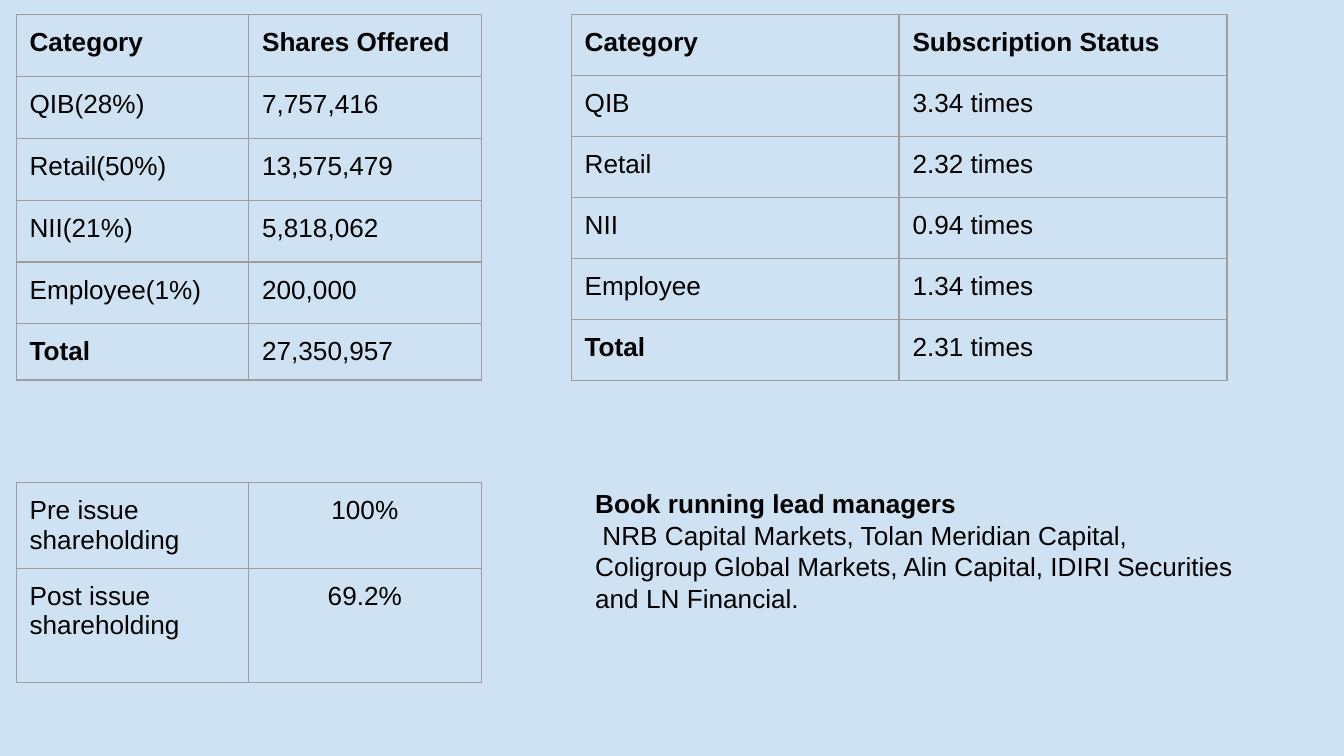
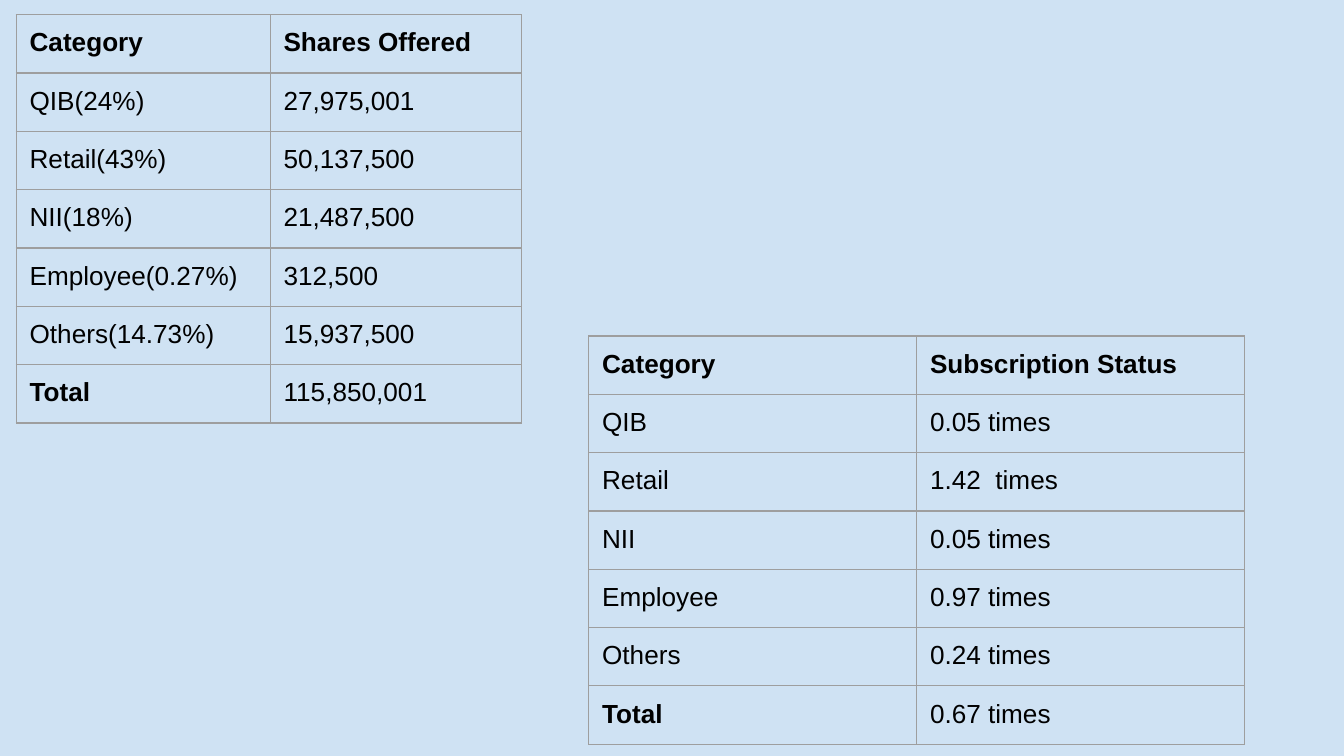
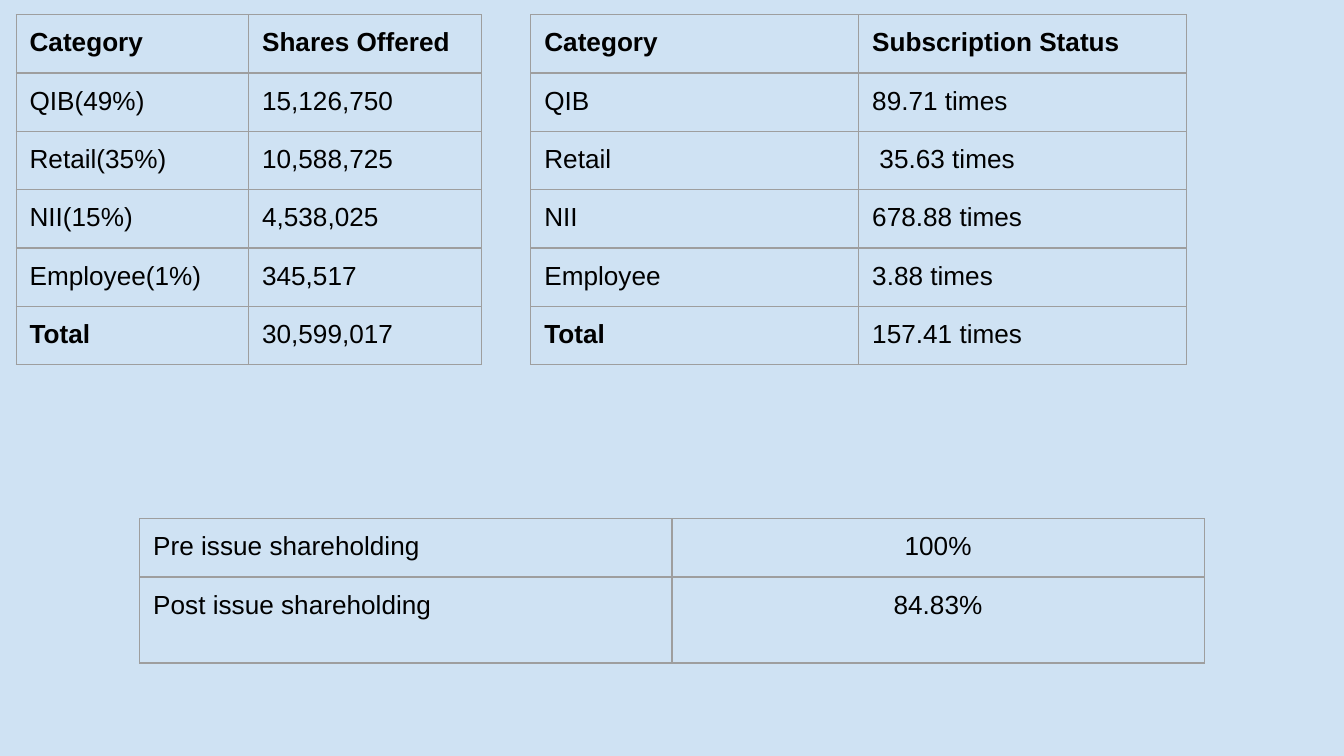
"""Build three slides of share-issue tables: offer, subscription and shareholding."""
from lxml import etree
from pptx import Presentation
from pptx import util as u
from pptx.dml import color
from pptx.enum import text
from pptx.oxml import ns

BACKGROUND, INK, BORDER = "CFE2F3", "000000", "9E9E9E"
FONT = {"name": "Arial", "size": u.Pt(14)}
INSET = 0.1
SHORT_ROW, ROW = 0.38, 0.41
LEFT, TOP = 0.12, 0.11
OFFER_COLUMNS = [1.73, 1.73]
STATUS_COLUMNS = [2.44, 2.44]
OFFER_HEADER = ("Category", "Shares Offered")
STATUS_HEADER = ("Category", "Subscription Status")

SLIDES = [
    {
        "tables": [
            {"at": (LEFT, TOP), "height": 2.72,
             "columns": OFFER_COLUMNS, "row_heights": [0.46] * 5 + [ROW],
             "rows": [OFFER_HEADER, ("QIB(28%)", "7,757,416"), ("Retail(50%)", "13,575,479"),
                      ("NII(21%)", "5,818,062"), ("Employee(1%)", "200,000"),
                      ("Total", "27,350,957")]},
            {"at": (4.25, TOP), "height": 2.72,
             "columns": STATUS_COLUMNS, "row_heights": [2.72 / 6] * 6,
             "rows": [STATUS_HEADER, ("QIB", "3.34 times"), ("Retail", "2.32 times"),
                      ("NII", "0.94 times"), ("Employee", "1.34 times"),
                      ("Total", "2.31 times")]},
            {"at": (LEFT, 3.59), "height": 1.57,
             "columns": OFFER_COLUMNS, "row_heights": [ROW, 0.85],
             "rows": [("Pre issue shareholding", "100%"),
                      ("Post issue shareholding", "69.2%")]},
        ],
        "managers": {
            "box": (4.33, 3.58, 4.98, 1.51),
            "heading": "Book running lead managers",
            "names": " NRB Capital Markets, Tolan Meridian Capital, Coligroup Global Markets, "
                     "Alin Capital, IDIRI Securities and LN Financial.",
        },
    },
    {
        "tables": [
            {"at": (LEFT, TOP), "height": 3.03,
             "columns": [1.89, 1.87], "row_heights": [SHORT_ROW] * 7,
             "rows": [OFFER_HEADER, ("QIB(24%)", "27,975,001"), ("Retail(43%)", "50,137,500"),
                      ("NII(18%)", "21,487,500"), ("Employee(0.27%)", "312,500"),
                      ("Others(14.73%)", "15,937,500"), ("Total", "115,850,001")]},
            {"at": (4.38, 2.5), "height": 3.03,
             "columns": STATUS_COLUMNS, "row_heights": [ROW] * 7,
             "rows": [STATUS_HEADER, ("QIB", "0.05 times"), ("Retail", "1.42  times"),
                      ("NII", "0.05 times"), ("Employee", "0.97 times"),
                      ("Others", "0.24 times"), ("Total", "0.67 times")]},
        ],
    },
    {
        "tables": [
            {"at": (LEFT, TOP), "height": 2.6,
             "columns": OFFER_COLUMNS, "row_heights": [SHORT_ROW] * 6,
             "rows": [OFFER_HEADER, ("QIB(49%)", "15,126,750"), ("Retail(35%)", "10,588,725"),
                      ("NII(15%)", "4,538,025"), ("Employee(1%)", "345,517"),
                      ("Total", "30,599,017")]},
            {"at": (3.95, TOP), "height": 2.6,
             "columns": STATUS_COLUMNS, "row_heights": [ROW] * 6,
             "rows": [STATUS_HEADER, ("QIB", "89.71 times"), ("Retail", " 35.63 times"),
                      ("NII", "678.88 times"), ("Employee", "3.88 times"),
                      ("Total", "157.41 times")]},
            {"at": (1.04, 3.86), "height": 1.1,
             "columns": [3.96, 3.96], "row_heights": [ROW, 0.64],
             "rows": [("Pre issue shareholding", "100%"),
                      ("Post issue shareholding", "84.83%")]},
        ],
    },
]


def rgb(hex_color):
    return color.RGBColor.from_string(hex_color)


def set_all(target, values):
    for name, value in values.items():
        setattr(target, name, value)


def add_run(paragraph, words, bold=False):
    run = paragraph.add_run()
    run.text = words
    set_all(run.font, {**FONT, "bold": bold})
    run.font.color.rgb = rgb(INK)


def add_borders(cell):
    properties = cell._tc.get_or_add_tcPr()
    for side in ("lnL", "lnR", "lnT", "lnB"):
        line = etree.SubElement(properties, ns.qn(f"a:{side}"), w=str(u.Pt(0.75)))
        fill = etree.SubElement(line, ns.qn("a:solidFill"))
        etree.SubElement(fill, ns.qn("a:srgbClr"), val=BORDER)


def add_grid(slide, at, height, columns, row_heights, rows):
    box = (*at, sum(columns), height)
    frame = slide.shapes.add_table(len(rows), len(columns), *map(u.Inches, box))
    table = frame.table
    set_all(table, {"first_row": False, "horz_banding": False})
    for column, width in zip(table.columns, columns):
        column.width = u.Inches(width)
    for row, row_height in zip(table.rows, row_heights):
        row.height = u.Inches(row_height)
    frame.height = u.Inches(height)
    has_header = rows[0][0] == "Category"
    sides = ("margin_left", "margin_right", "margin_top", "margin_bottom")
    for row_index, values in enumerate(rows):
        for column_index, value in enumerate(values):
            cell = table.cell(row_index, column_index)
            set_all(cell, dict.fromkeys(sides, u.Inches(INSET)))
            add_borders(cell)
            cell.fill.background()
            paragraph = cell.text_frame.paragraphs[0]
            if column_index and not has_header:
                paragraph.alignment = text.PP_ALIGN.CENTER
            add_run(paragraph, value, (has_header and row_index == 0) or value == "Total")


def add_managers(slide, box, heading, names):
    frame = slide.shapes.add_textbox(*map(u.Inches, box)).text_frame
    frame.word_wrap = True
    paragraph = frame.paragraphs[0]
    add_run(paragraph, heading, bold=True)
    paragraph.add_line_break()
    add_run(paragraph, names)


def main():
    presentation = Presentation()
    width = u.Inches(10)
    set_all(presentation, {"slide_width": width, "slide_height": width * 9 // 16})
    for content in SLIDES:
        slide = presentation.slides.add_slide(presentation.slide_layouts[6])
        slide.background.fill.solid()
        slide.background.fill.fore_color.rgb = rgb(BACKGROUND)
        for table in content["tables"]:
            add_grid(slide, **table)
        if "managers" in content:
            add_managers(slide, **content["managers"])
    presentation.save("out.pptx")


if __name__ == "__main__":
    main()
